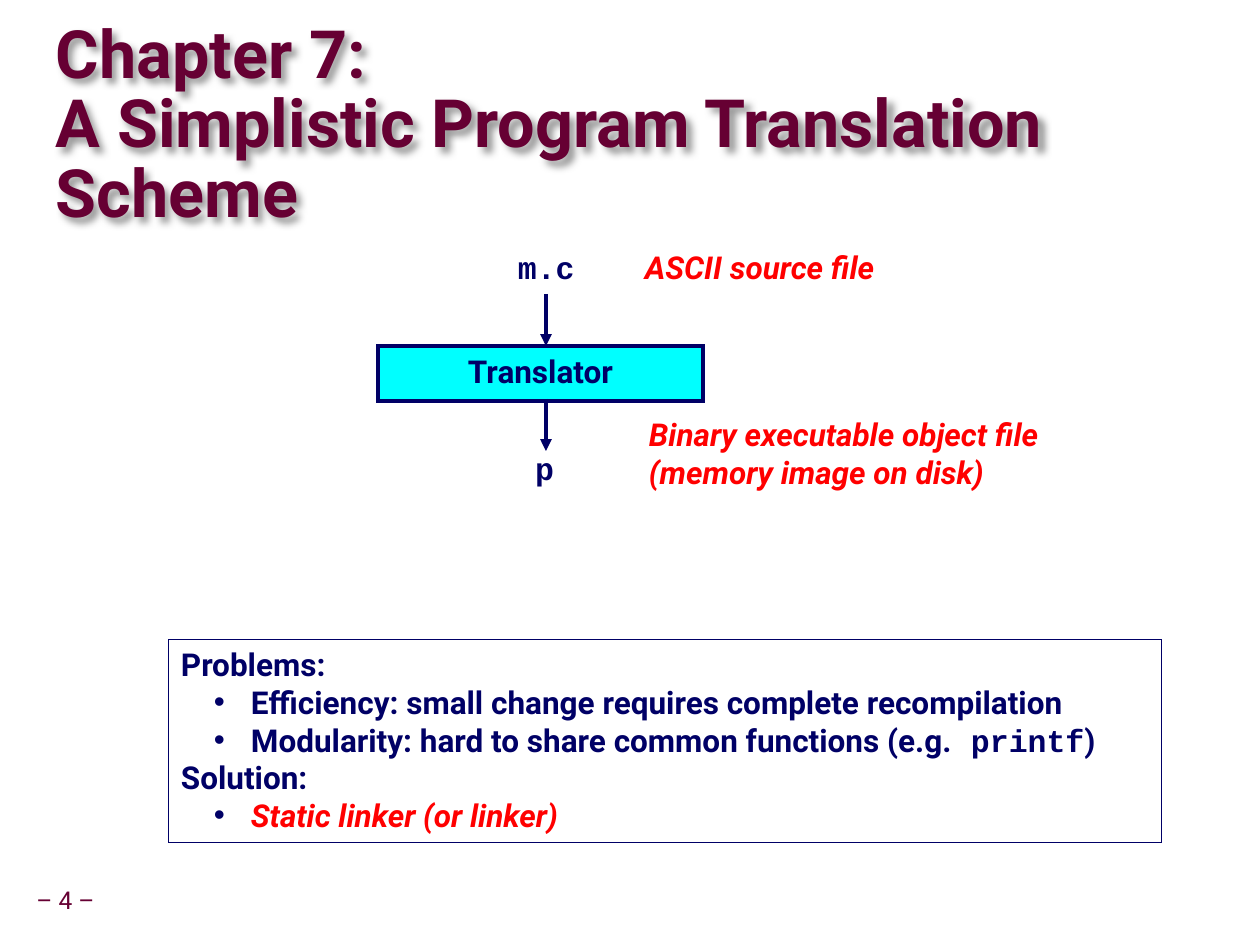
from lxml import etree
from pptx import Presentation, util as u
from pptx.dml.color import RGBColor
from pptx.enum import shapes, text
from pptx.oxml import parse_xml
from pptx.oxml.ns import nsdecls, qn

EMU_PER_PX = 914400 / 126
SANS, MONO = "Roboto", "Courier New"
NAVY, MAROON, RED, CYAN = "000066", "660033", "FF0000", "00FFFF"


def px(length):
    return u.Emu(round(length * EMU_PER_PX))


def color(hex_value):
    return RGBColor.from_string(hex_value)


def add_run(paragraph, wording, font=SANS, size=18, ink=NAVY, bold=True, italic=False):
    run = paragraph.add_run()
    run.text = wording
    run.font.name, run.font.size = font, u.Pt(size)
    run.font.bold, run.font.italic = bold, italic
    run.font.color.rgb = color(ink)


def set_frame(shape, inset_x=13, inset_y=6, wrap=False, anchor=text.MSO_ANCHOR.TOP):
    frame = shape.text_frame
    frame.margin_left = frame.margin_right = px(inset_x)
    frame.margin_top = frame.margin_bottom = px(inset_y)
    frame.word_wrap = wrap
    frame.vertical_anchor = anchor
    return frame


def add_label(slide, box, lines, **style):
    frame = set_frame(slide.shapes.add_textbox(*map(px, box)))
    frame.auto_size = text.MSO_AUTO_SIZE.SHAPE_TO_FIT_TEXT
    for i, line in enumerate(lines):
        paragraph = frame.add_paragraph() if i else frame.paragraphs[0]
        add_run(paragraph, line, **style)


def add_box(slide, box, line_width, fill=None):
    shape = slide.shapes.add_shape(shapes.MSO_SHAPE.RECTANGLE, *map(px, box))
    shape.shadow.inherit = False
    if fill:
        shape.fill.solid()
        shape.fill.fore_color.rgb = color(fill)
    else:
        shape.fill.background()
    shape.line.color.rgb = color(NAVY)
    shape.line.width = u.Pt(line_width)
    etree.SubElement(shape.line._get_or_add_ln(), qn("a:miter"), lim="800000")
    return shape


def add_down_arrow(slide, x, top, bottom):
    arrow = slide.shapes.add_connector(
        shapes.MSO_CONNECTOR.STRAIGHT, px(x), px(top), px(x), px(bottom))
    arrow.line.color.rgb = color(NAVY)
    arrow.line.width = u.Pt(2.25)
    etree.SubElement(arrow.line._get_or_add_ln(), qn("a:tailEnd"), type="triangle")
    etree.SubElement(arrow._element.spPr, qn("a:effectLst"))


def add_bullet(paragraph, indent=70, hanging=37):
    properties = paragraph._p.get_or_add_pPr()
    properties.set("marL", str(px(indent)))
    properties.set("indent", str(-px(hanging)))
    bullet_color = etree.SubElement(properties, qn("a:buClr"))
    etree.SubElement(bullet_color, qn("a:srgbClr"), val=NAVY)
    etree.SubElement(properties, qn("a:buFont"), typeface="Arial")
    etree.SubElement(properties, qn("a:buChar"), char="•")


def add_title(slide):
    title = slide.shapes.add_textbox(*map(px, (56, 34, 1200, 186)))
    frame = set_frame(title, 0, 0, True, text.MSO_ANCHOR.MIDDLE)
    heading = frame.paragraphs[0]
    heading.line_spacing = 0.87
    add_run(heading, "Chapter 7:", size=38, ink=MAROON)
    heading.add_line_break()
    add_run(heading, "A Simplistic Program Translation Scheme", size=38, ink=MAROON)
    title._element.spPr.append(parse_xml(
        f'<a:effectLst {nsdecls("a")}>'
        '<a:outerShdw blurRad="50800" dist="50800" dir="2700000" algn="tl" rotWithShape="0">'
        '<a:srgbClr val="000000"><a:alpha val="40000"/></a:srgbClr>'
        '</a:outerShdw></a:effectLst>'))


def add_translation_flow(slide):
    translator = add_box(slide, (378, 346, 325, 55), 2.25, CYAN)
    frame = set_frame(translator, wrap=True)
    frame.paragraphs[0].alignment = text.PP_ALIGN.CENTER
    add_run(frame.paragraphs[0], "Translator")
    for top, bottom in ((294, 346), (399, 451)):
        add_down_arrow(slide, 546, top, bottom)

    add_label(slide, (505, 242, 86, 50), ["m.c"], font=MONO)
    add_label(slide, (522, 443, 46, 50), ["p"], font=MONO)
    add_label(slide, (632, 242, 276, 50), ["ASCII source file"], ink=RED, italic=True)
    add_label(slide, (636, 409, 451, 88),
              ["Binary executable object file", "(memory image on disk)"],
              ink=RED, italic=True)


def add_summary(slide):
    """Problems and solution; each entry is (bulleted, runs)."""
    entries = [
        (False, [("Problems:", {})]),
        (True, [("Efficiency: small change requires complete recompilation", {})]),
        (True, [("Modularity: hard to share common functions (e.g.", {}),
                (" printf", {"font": MONO}), (")", {})]),
        (False, [("Solution:", {})]),
        (True, [("Static linker (or linker)", {"ink": RED, "italic": True})]),
    ]
    frame = set_frame(add_box(slide, (168, 639, 993, 203), 0.25), wrap=True)
    for i, (bulleted, runs) in enumerate(entries):
        paragraph = frame.add_paragraph() if i else frame.paragraphs[0]
        paragraph.alignment = text.PP_ALIGN.LEFT
        if bulleted:
            add_bullet(paragraph)
        for wording, style in runs:
            add_run(paragraph, wording, **style)


def add_page_number(slide):
    number = slide.shapes.add_textbox(*map(px, (24, 882, 83, 39)))
    frame = set_frame(number, 6, 6, anchor=text.MSO_ANCHOR.MIDDLE)
    frame.paragraphs[0].alignment = text.PP_ALIGN.CENTER
    frame.paragraphs[0].line_spacing = 0.9
    add_run(frame.paragraphs[0], "– 4 –", size=14, ink=MAROON, bold=False)


def main():
    deck = Presentation()
    deck.slide_width, deck.slide_height = px(1260), px(945)
    slide = deck.slides.add_slide(deck.slide_layouts[6])
    add_page_number(slide)
    add_title(slide)
    add_summary(slide)
    add_translation_flow(slide)
    deck.save("out.pptx")


if __name__ == "__main__":
    main()
